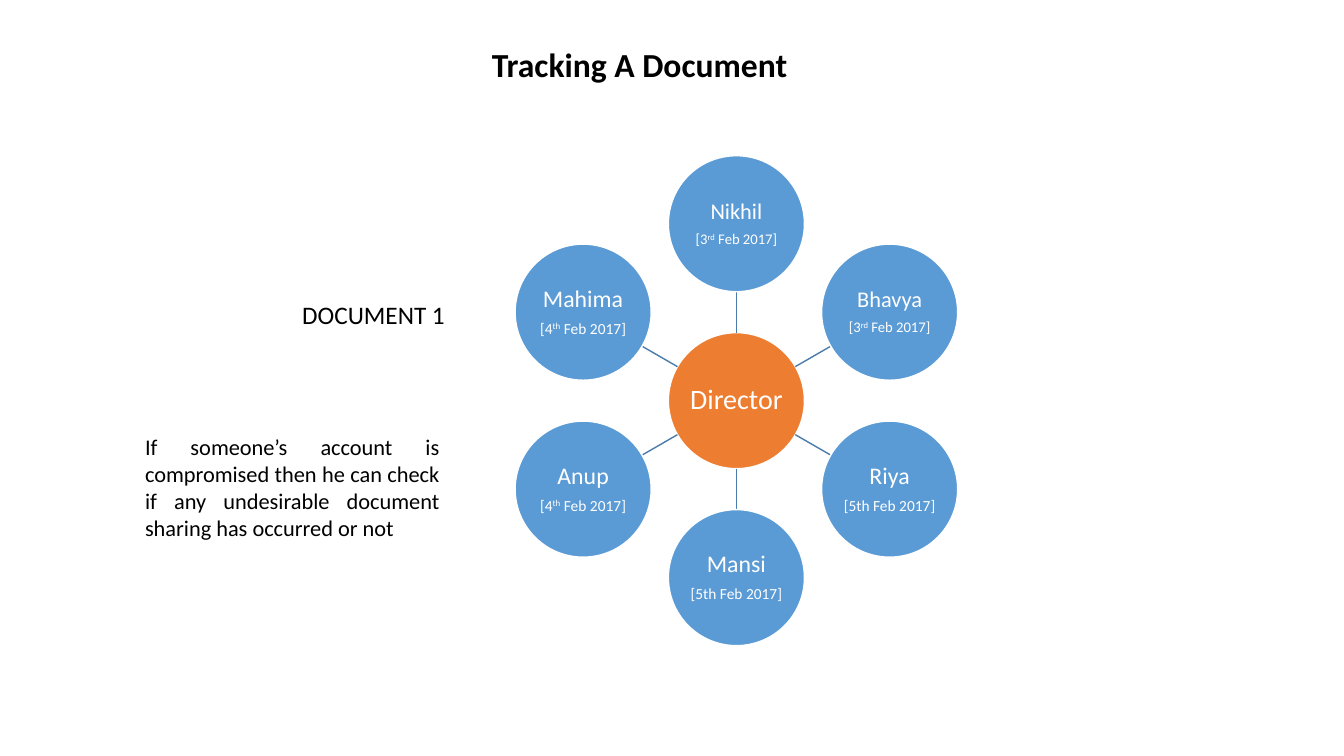
import math

from lxml import etree
from pptx import Presentation
from pptx.dml.color import RGBColor
from pptx.enum import shapes, text
from pptx.oxml import ns
from pptx.util import Pt

BLACK = RGBColor(0x00, 0x00, 0x00)
WHITE = RGBColor(0xFF, 0xFF, 0xFF)
ORANGE = RGBColor(0xED, 0x7D, 0x31)
BLUE = RGBColor(0x5B, 0x9B, 0xD5)
SPOKE_BLUE = RGBColor(0x49, 0x7C, 0xAB)

CENTER_X, CENTER_Y = 526, 286.2
ORBIT = 126.4
RADIUS = 48.6

# Clockwise from the top: name, date (^ encloses superscript), name size, date size
RECIPIENTS = [
    ("Nikhil", "[3^rd^ Feb 2017]", 16, 10.5),
    ("Bhavya", "[3^rd^ Feb 2017]", 16, 10.5),
    ("Riya", "[5th Feb 2017]", 17, 11),
    ("Mansi", "[5th Feb 2017]", 17, 11),
    ("Anup", "[4^th^ Feb 2017]", 17, 11),
    ("Mahima", "[4^th^ Feb 2017]", 17, 11),
]


def write(frame, content, size=16, color=BLACK, bold=False,
          align=text.PP_ALIGN.LEFT, line_spacing=1.0, space_after=0):
    """Add a paragraph to the frame, raising the parts enclosed in ^."""
    paragraph = frame.paragraphs[0]
    if paragraph.runs:
        paragraph = frame.add_paragraph()
    paragraph.alignment = align
    paragraph.line_spacing = line_spacing
    paragraph.space_before = Pt(0)
    paragraph.space_after = Pt(space_after)
    for index, part in enumerate(content.split("^")):
        run = paragraph.add_run()
        run.text = part
        run.font.name = "Calibri"
        run.font.size = Pt(size)
        run.font.bold = bold
        run.font.color.rgb = color
        if index % 2:
            run._r.get_or_add_rPr().set("baseline", "30000")


class SlideBuilder:
    def __init__(self, slide):
        self.slide = slide

    def title(self, content, left, top, width, height):
        shape = self.slide.shapes.title
        shape.left, shape.top = Pt(left), Pt(top)
        shape.width, shape.height = Pt(width), Pt(height)
        frame = shape.text_frame
        frame.vertical_anchor = text.MSO_ANCHOR.TOP
        frame.auto_size = text.MSO_AUTO_SIZE.SHAPE_TO_FIT_TEXT
        write(frame, content, size=24, bold=True, align=text.PP_ALIGN.CENTER)

    def note(self, content, left, top, width, height, **style):
        shape = self.slide.shapes.add_textbox(Pt(left), Pt(top), Pt(width), Pt(height))
        frame = shape.text_frame
        frame.word_wrap = True
        frame.auto_size = text.MSO_AUTO_SIZE.SHAPE_TO_FIT_TEXT
        write(frame, content, **style)

    def circle(self, x, y, fill, lines):
        """Draw a circle centred at x, y holding (text, size) lines."""
        shape = self.slide.shapes.add_shape(
            shapes.MSO_SHAPE.OVAL, Pt(x - RADIUS), Pt(y - RADIUS),
            Pt(2 * RADIUS), Pt(2 * RADIUS))
        shape.shadow.inherit = False
        shape.fill.solid()
        shape.fill.fore_color.rgb = fill
        shape.line.color.rgb = WHITE
        shape.line.width = Pt(1)
        frame = shape.text_frame
        frame.word_wrap = True
        frame.vertical_anchor = text.MSO_ANCHOR.MIDDLE
        frame.margin_left = frame.margin_right = Pt(0.8)
        frame.margin_top = frame.margin_bottom = Pt(0.8)
        for content, size in lines:
            write(frame, content, size=size, color=WHITE, align=text.PP_ALIGN.CENTER,
                  line_spacing=0.9, space_after=round(0.35 * size, 1))

    def spoke(self, start, end):
        line = self.slide.shapes.add_connector(
            shapes.MSO_CONNECTOR.STRAIGHT, *(Pt(value) for value in (*start, *end)))
        line.line.color.rgb = SPOKE_BLUE
        line.line.width = Pt(1)
        etree.SubElement(line._element.spPr, ns.qn("a:effectLst"))


def around_center(distance, angle):
    return (CENTER_X + distance * math.cos(angle),
            CENTER_Y + distance * math.sin(angle))


def main():
    presentation = Presentation()
    presentation.slide_width, presentation.slide_height = Pt(960), Pt(540)
    builder = SlideBuilder(presentation.slides.add_slide(presentation.slide_layouts[5]))

    builder.title("Tracking A Document", 258.5, 28, 396.7, 36)
    builder.circle(CENTER_X, CENTER_Y, ORANGE, [("Director", 20)])
    for index, (name, date, name_size, date_size) in enumerate(RECIPIENTS):
        angle = math.radians(360 / len(RECIPIENTS) * index - 90)
        builder.spoke(around_center(RADIUS, angle), around_center(ORBIT - RADIUS, angle))
        builder.circle(*around_center(ORBIT, angle), BLUE,
                       [(name, name_size), (date, date_size)])
    builder.note("DOCUMENT 1", 208.8, 210.2, 224.6, 28.8, size=18)
    builder.note("If someone’s account is compromised then he can check if any "
                 "undesirable document sharing has occurred or not",
                 96.5, 306, 224.6, 85, align=text.PP_ALIGN.JUSTIFY)
    presentation.save("out.pptx")


if __name__ == "__main__":
    main()
